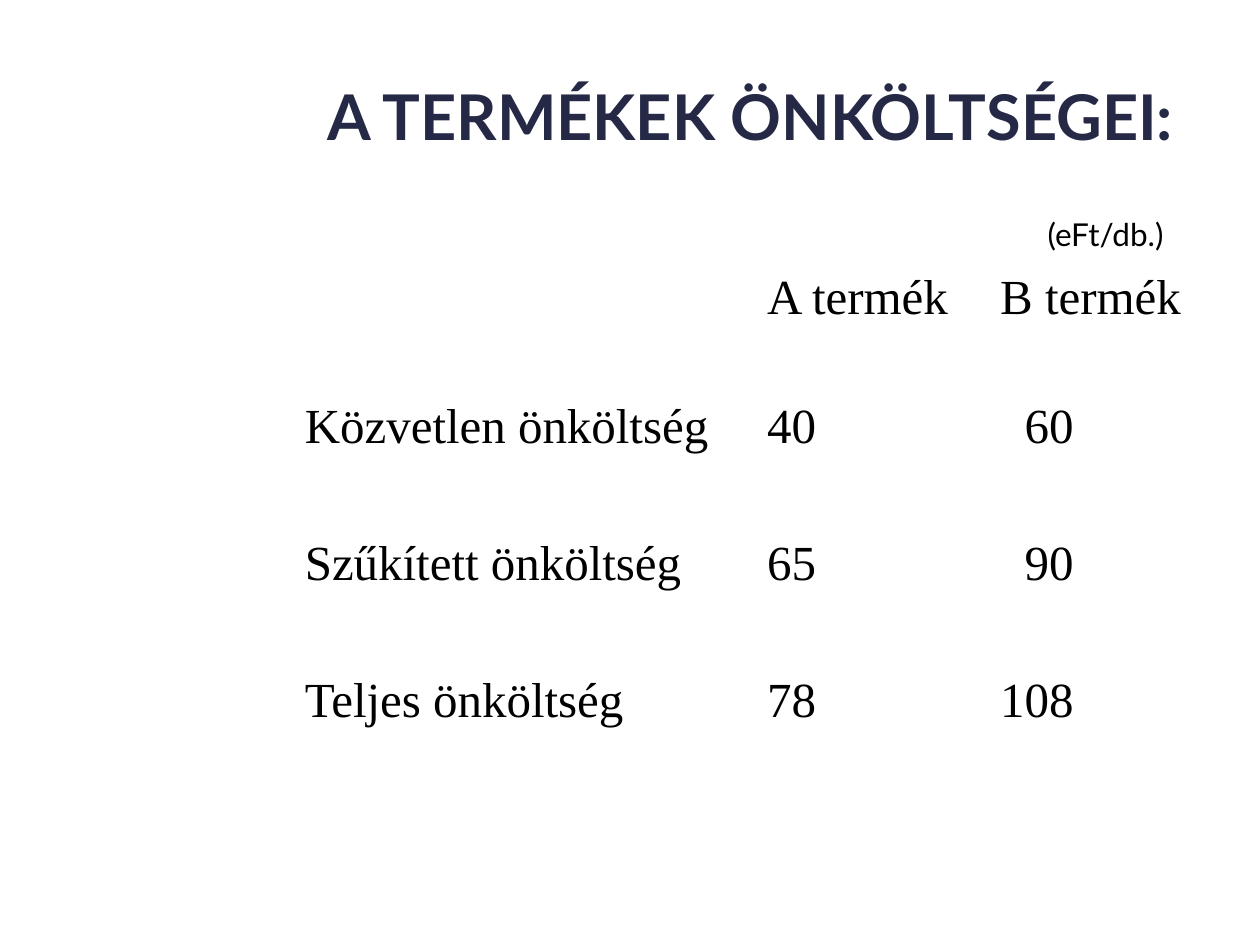
"""Builds a slide with a table of unit costs for two products."""
from dataclasses import dataclass

from pptx import Presentation
from pptx.dml.color import RGBColor
from pptx.enum import text
from pptx.util import Pt


@dataclass(frozen=True)
class Theme:
    heading_font: str = "Lato"
    table_font: str = "Times New Roman"
    navy: RGBColor = RGBColor(0x25, 0x29, 0x46)
    black: RGBColor = RGBColor(0, 0, 0)
    title_size: int = 36
    table_size: int = 28
    unit_size: int = 18


theme = Theme()


def style(paragraph, name, size, color, bold=False):
    font = paragraph.font
    font.name, font.size, font.bold = name, Pt(size), bold
    font.color.rgb = color


presentation = Presentation()
presentation.slide_width, presentation.slide_height = Pt(720), Pt(540)
slide = presentation.slides.add_slide(presentation.slide_layouts[5])

title = slide.shapes.title
title.left, title.top, title.width, title.height = Pt(150.5), Pt(26.6), Pt(556.6), Pt(78.5)
title.text_frame.text = "A TERMÉKEK ÖNKÖLTSÉGEI:"
title.text_frame.vertical_anchor = text.MSO_ANCHOR.MIDDLE
paragraph = title.text_frame.paragraphs[0]
paragraph.alignment = text.PP_ALIGN.CENTER
style(paragraph, theme.heading_font, theme.title_size, theme.navy, bold=True)

rows = [
    ("", "A termék", "B termék"),
    ("Közvetlen önköltség", "40", "60"),
    ("Szűkített önköltség", "65", "90"),
    ("Teljes önköltség", "78", "108"),
]
column_widths = [264.2, 133.2, 129.6]
row_heights = [73.4, 78.5, 78.5, 70.6]
margin = 7.2
digit_width = theme.table_size / 2

table = slide.shapes.add_table(
    len(rows), len(column_widths), Pt(167), Pt(151.2),
    Pt(sum(column_widths)), Pt(sum(row_heights))).table
table.first_row = table.horz_banding = False
for column, width in zip(table.columns, column_widths):
    column.width = Pt(width)
for row, height, values in zip(table.rows, row_heights, rows):
    row.height = Pt(height)
    for index, (cell, value) in enumerate(zip(row.cells, values)):
        cell.fill.background()
        cell.text = value
        two_digits = index == 2 and len(value) == 2
        cell.margin_left = Pt(margin + digit_width * two_digits)
        style(cell.text_frame.paragraphs[0], theme.table_font, theme.table_size, theme.black)

unit = slide.shapes.add_textbox(Pt(569.5), Pt(119.5), Pt(124.6), Pt(28.1))
unit.text_frame.text = "(eFt/db.)"
unit.text_frame.word_wrap = False
unit.text_frame.vertical_anchor = text.MSO_ANCHOR.MIDDLE
paragraph = unit.text_frame.paragraphs[0]
paragraph.alignment = text.PP_ALIGN.CENTER
style(paragraph, theme.heading_font, theme.unit_size, theme.black)

presentation.save("out.pptx")
